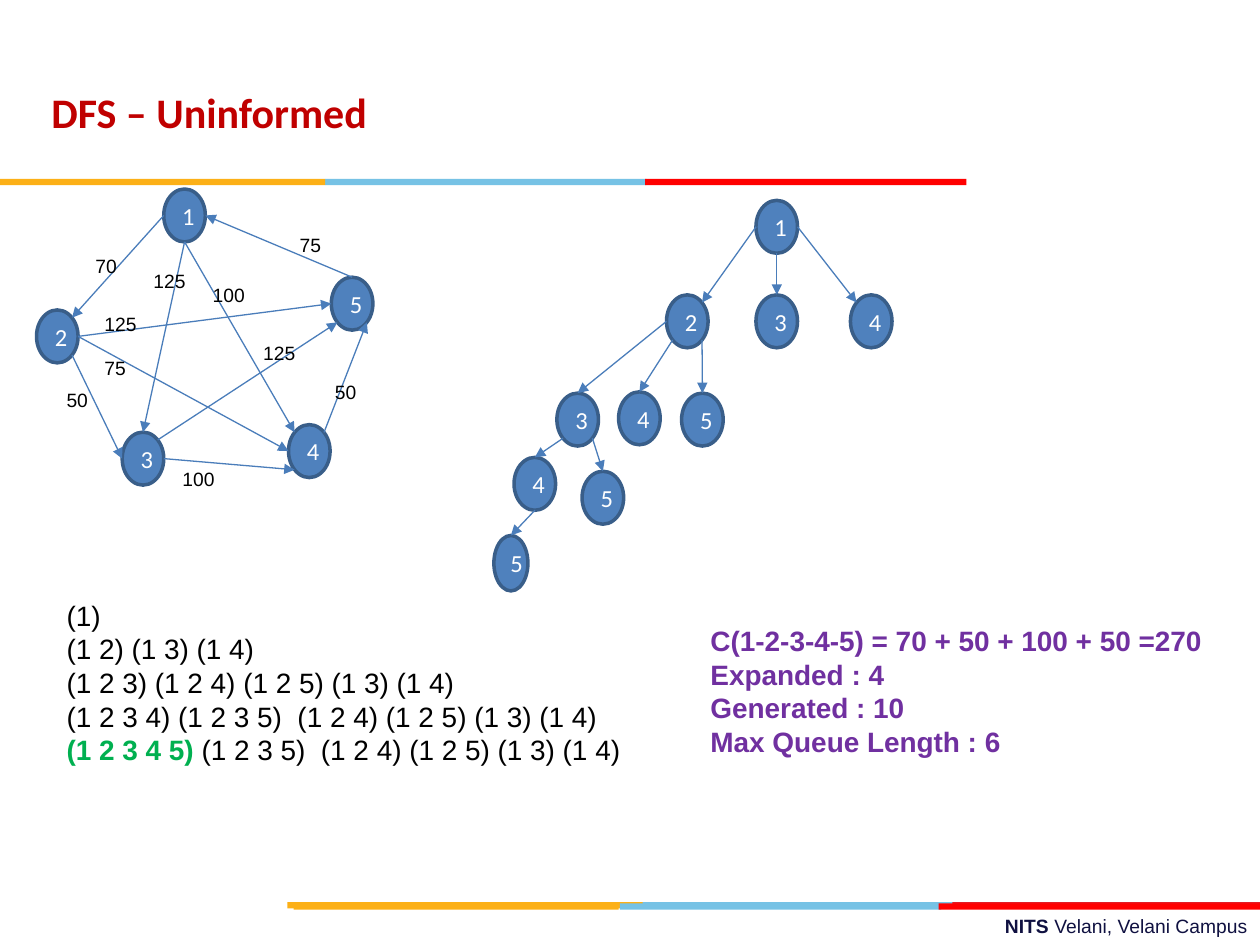
import math

import pptx
import pptx.dml.color
import pptx.enum.shapes
import pptx.enum.text
import pptx.oxml
import pptx.util
from pptx.util import Inches

ALIGN = pptx.enum.text.PP_ALIGN
ANCHOR = pptx.enum.text.MSO_ANCHOR
SHAPE = pptx.enum.shapes.MSO_SHAPE
DRAWING_NS = 'xmlns:a="http://schemas.openxmlformats.org/drawingml/2006/main"'

GOLD, SKY, CRIMSON, RED = "FCB017", "76C2E5", "E31C24", "FF0000"
NODE_SIZE = (0.33, 0.42)
DIAGONAL = math.sqrt(0.5)
# Compass points on an oval, as multiples of its half width and half height
COMPASS = {
    "N": (0, -1), "S": (0, 1), "W": (-1, 0), "E": (1, 0),
    "NW": (-DIAGONAL, -DIAGONAL), "NE": (DIAGONAL, -DIAGONAL),
    "SW": (-DIAGONAL, DIAGONAL), "SE": (DIAGONAL, DIAGONAL),
}


def color(hex_string):
    return pptx.dml.color.RGBColor.from_string(hex_string)


class SlideBuilder:
    node_fill, node_line, edge_line = "4F81BD", "395E89", "4A7DBA"
    node_text = {"name": "Calibri", "size": 14, "color": "FFFFFF"}
    title_text = {"name": "Calibri", "size": 24, "color": "C00000", "bold": True}
    footer_text = {"name": "Arial", "size": 11, "color": "101141"}
    cost_text = {"name": "Arial", "size": 11, "color": "000000"}
    queue_text = {"name": "Arial", "size": 16, "color": "000000"}
    goal_text = {**queue_text, "color": "00B050", "bold": True}
    result_text = {**queue_text, "color": "7030A0", "bold": True}

    def __init__(self, slide):
        self.slide = slide

    def add_words(self, paragraph, words, style):
        run = paragraph.add_run()
        run.text = words
        for key, value in style.items():
            if key == "color":
                run.font.color.rgb = color(value)
            else:
                setattr(run.font, key, pptx.util.Pt(value) if key == "size" else value)

    def text(self, box, lines, **layout):
        """Add a text box; each line is a list of (words, style) runs."""
        frame = self.slide.shapes.add_textbox(*map(Inches, box)).text_frame
        frame.word_wrap = True
        frame.vertical_anchor = layout.pop("anchor", ANCHOR.TOP)
        for number, runs in enumerate(lines):
            paragraph = frame.add_paragraph() if number else frame.paragraphs[0]
            for key, value in layout.items():
                setattr(paragraph, key, value)
            for words, style in runs:
                self.add_words(paragraph, words, style)

    def shape(self, kind, box, fill):
        shape = self.slide.shapes.add_shape(kind, *map(Inches, box))
        shape.shadow.inherit = False
        shape.fill.solid()
        shape.fill.fore_color.rgb = color(fill)
        shape.line.fill.background()
        return shape

    def stripe(self, top, segments):
        """Draw a row of thin bars given as (left, width, fill)."""
        for left, width, fill in segments:
            self.shape(SHAPE.RECTANGLE, (left, top, width, 0.05), fill)

    def node(self, label, left, top, size=NODE_SIZE):
        oval = self.shape(SHAPE.OVAL, (left, top, *size), self.node_fill)
        oval.line.color.rgb = color(self.node_line)
        oval.line.width = pptx.util.Pt(2)
        frame = oval.text_frame
        frame.vertical_anchor = ANCHOR.MIDDLE
        frame.paragraphs[0].alignment = ALIGN.CENTER
        self.add_words(frame.paragraphs[0], label, self.node_text)
        return oval

    def rim_point(self, oval, side):
        across, down = COMPASS[side]
        return (int(oval.left + oval.width * (1 + across) / 2),
                int(oval.top + oval.height * (1 + down) / 2))

    def edge(self, start, start_side, end, end_side):
        arrow = self.slide.shapes.add_connector(
            pptx.enum.shapes.MSO_CONNECTOR.STRAIGHT,
            *self.rim_point(start, start_side), *self.rim_point(end, end_side))
        arrow.line.color.rgb = color(self.edge_line)
        arrow.line.width = pptx.util.Pt(0.75)
        arrow.line._get_or_add_ln().append(
            pptx.oxml.parse_xml(f'<a:tailEnd {DRAWING_NS} type="triangle"/>'))
        arrow._element.spPr.append(pptx.oxml.parse_xml(f"<a:effectLst {DRAWING_NS}/>"))

    def network(self, nodes, edges):
        """Draw nodes, keyed by route whose last digit is the label, and edges."""
        ovals = {route: self.node(route[-1], *place) for route, place in nodes.items()}
        for start, start_side, end, end_side in edges:
            self.edge(ovals[start], start_side, ovals[end], end_side)


GRAPH_NODES = {"1": (1.3, 1.5), "2": (0.29, 2.46), "3": (0.97, 3.43),
               "4": (2.29, 3.37), "5": (2.63, 2.2)}
GRAPH_EDGES = [
    ("1", "W", "2", "NE"), ("1", "S", "3", "N"), ("1", "S", "4", "NW"),
    ("2", "SE", "3", "W"), ("2", "E", "4", "W"), ("2", "E", "5", "W"),
    ("3", "E", "4", "SW"), ("3", "NE", "5", "SW"), ("4", "NE", "5", "SE"),
    ("5", "N", "1", "E"),
]
EDGE_COSTS = [
    ("70", 0.66, 1.97), ("125", 1.12, 2.09), ("100", 1.59, 2.2), ("50", 0.43, 3.03),
    ("75", 0.73, 2.78), ("125", 0.73, 2.43), ("50", 2.56, 2.97), ("100", 1.35, 3.66),
    ("125", 1.99, 2.66), ("75", 2.28, 1.8),
]
TREE_NODES = {
    "1": (6, 1.59), "12": (5.29, 2.34), "13": (6, 2.34), "14": (6.75, 2.34),
    "123": (4.42, 3.12), "124": (4.91, 3.11), "125": (5.41, 3.12),
    "1234": (4.08, 3.63), "1235": (4.62, 3.74), "12345": (3.92, 4.25, (0.27, 0.44)),
}
TREE_EDGES = [
    ("1", "W", "12", "NE"), ("1", "S", "13", "N"), ("1", "E", "14", "NW"),
    ("12", "W", "123", "N"), ("12", "SW", "124", "N"), ("12", "SE", "125", "N"),
    ("123", "SW", "1234", "N"), ("123", "SE", "1235", "N"), ("1234", "S", "12345", "N"),
]
QUEUE_STEPS = [
    "(1)",
    "(1 2) (1 3) (1 4)",
    "(1 2 3) (1 2 4) (1 2 5) (1 3) (1 4)",
    "(1 2 3 4) (1 2 3 5)  (1 2 4) (1 2 5) (1 3) (1 4)",
]
RESULTS = ["C(1-2-3-4-5) = 70 + 50 + 100 + 50 =270", "Expanded : 4",
           "Generated : 10", "Max Queue Length : 6"]


def main():
    deck = pptx.Presentation()
    deck.slide_width, deck.slide_height = Inches(10), Inches(7.5)
    page = SlideBuilder(deck.slides.add_slide(deck.slide_layouts[6]))

    page.text((3.58, 7.21, 6.42, 0.29),
              [[("NITS ", {**page.footer_text, "bold": True}),
                ("Velani, Velani Campus", page.footer_text)]], alignment=ALIGN.RIGHT)
    page.stripe(7.16, [(5.06, 2.55, SKY), (7.56, 2.44, CRIMSON), (2.28, 2.82, GOLD)])
    page.stripe(7.17, [(4.92, 2.55, SKY), (2.33, 2.58, GOLD), (7.45, 2.55, RED)])
    page.stripe(1.42, [(2.58, 2.55, SKY), (0, 2.58, GOLD), (5.12, 2.55, RED)])

    page.network(GRAPH_NODES, GRAPH_EDGES)
    for cost, left, top in EDGE_COSTS:
        page.text((left, top, 0.2 + 0.1 * len(cost), 0.29), [[(cost, page.cost_text)]])

    queue = [[(step, page.queue_text)] for step in QUEUE_STEPS]
    queue.append([("(1 2 3 4 5) ", page.goal_text),
                  ("(1 2 3 5)  (1 2 4) (1 2 5) (1 3) (1 4)", page.queue_text)])
    page.text((0.43, 4.7, 5.8, 1.99), queue)
    page.network(TREE_NODES, TREE_EDGES)

    page.text((0.31, 0.16, 6.92, 1.25), [[("DFS – Uninformed", page.title_text)]],
              anchor=ANCHOR.MIDDLE, line_spacing=1.5)
    page.text((5.54, 4.9, 4.75, 1.18), [[(line, page.result_text)] for line in RESULTS])
    deck.save("out.pptx")


if __name__ == "__main__":
    main()
